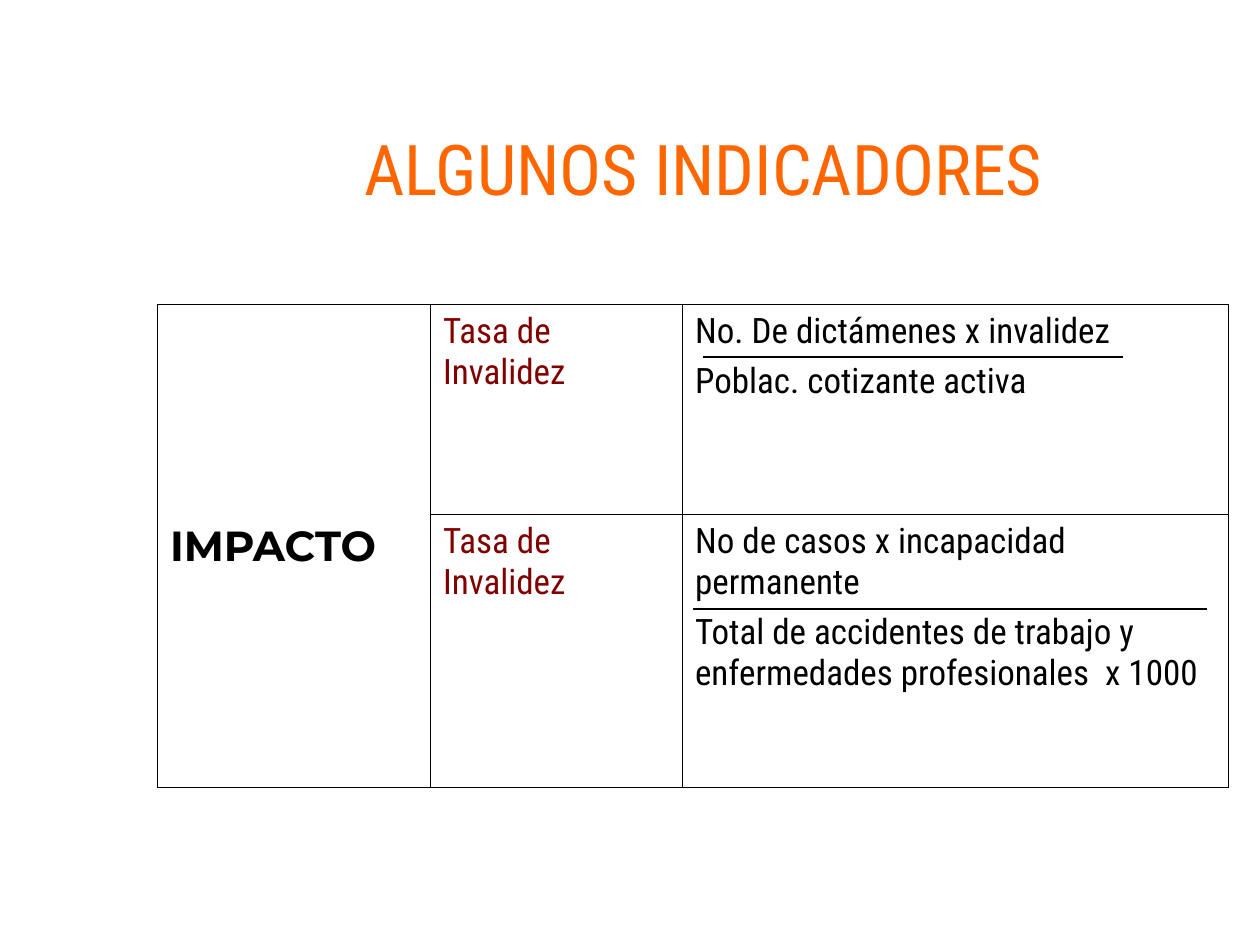
from lxml import etree
from pptx import Presentation
from pptx.dml.color import RGBColor
from pptx.enum import shapes, text
from pptx.oxml import ns
from pptx.util import Pt


def color(value):
    return RGBColor.from_string(value)


def write(paragraph, words, size, face, ink, bold=False):
    run = paragraph.add_run()
    run.text = words
    run.font.size = Pt(size)
    run.font.name = face
    run.font.bold = bold
    run.font.color.rgb = color(ink)


BODY = "Roboto Condensed"
BLACK = "000000"
MAROON = "800000"

deck = Presentation()
deck.slide_width, deck.slide_height = Pt(720), Pt(540)
slide = deck.slides.add_slide(deck.slide_layouts[6])

heading = slide.shapes.add_textbox(Pt(96), Pt(33), Pt(612), Pt(90)).text_frame
heading.word_wrap = True
heading.vertical_anchor = text.MSO_ANCHOR.BOTTOM
heading.paragraphs[0].alignment = text.PP_ALIGN.CENTER
write(heading.paragraphs[0], "ALGUNOS INDICADORES", 40, BODY, "FF6600")

indicators = slide.shapes.add_table(2, 3, Pt(90), Pt(174), Pt(612), Pt(276)).table
indicators.first_row = False
indicators.horz_banding = False
for column, width in zip(indicators.columns, (156, 144, 312)):
    column.width = Pt(width)
for row, height in zip(indicators.rows, (120, 156)):
    row.height = Pt(height)

contents = [
    [
        ([], 24, "Montserrat", BLACK, True),
        (["Tasa de Invalidez"], 20, BODY, MAROON, False),
        (["No. De dictámenes x invalidez", "Poblac. cotizante activa"], 20, BODY, BLACK, False),
    ],
    [
        (["IMPACTO"], 24, "Montserrat", BLACK, True),
        (["Tasa de Invalidez"], 20, BODY, MAROON, False),
        (
            [
                "No de casos x incapacidad permanente",
                "Total de accidentes de trabajo y enfermedades profesionales  x 1000",
            ],
            20, BODY, BLACK, False,
        ),
    ],
]

for r, row in enumerate(contents):
    for c, (lines, size, face, ink, bold) in enumerate(row):
        cell = indicators.cell(r, c)
        for i, line in enumerate(lines):
            frame = cell.text_frame
            paragraph = frame.add_paragraph() if i else frame.paragraphs[0]
            if i:
                paragraph.space_before = Pt(5)
            write(paragraph, line, size, face, ink, bold)

        open_side = "B" if r == 0 else "T"
        properties = cell._tc.get_or_add_tcPr()
        for side in "LRTB":
            edge = etree.SubElement(properties, ns.qn(f"a:ln{side}"), w=str(Pt(0.45)))
            if c == 0 and side == open_side:
                etree.SubElement(edge, ns.qn("a:noFill"))
            else:
                fill = etree.SubElement(edge, ns.qn("a:solidFill"))
                etree.SubElement(fill, ns.qn("a:srgbClr"), val=BLACK)
        cell.fill.background()

for start, end, y in ((402, 642, 204), (396, 690, 348)):
    fraction_bar = slide.shapes.add_connector(
        shapes.MSO_CONNECTOR.STRAIGHT, Pt(start), Pt(y), Pt(end), Pt(y)
    )
    fraction_bar.line.color.rgb = color(BLACK)
    fraction_bar.line.width = Pt(0.75)
    etree.SubElement(fraction_bar._element.spPr, ns.qn("a:effectLst"))

deck.save("out.pptx")
